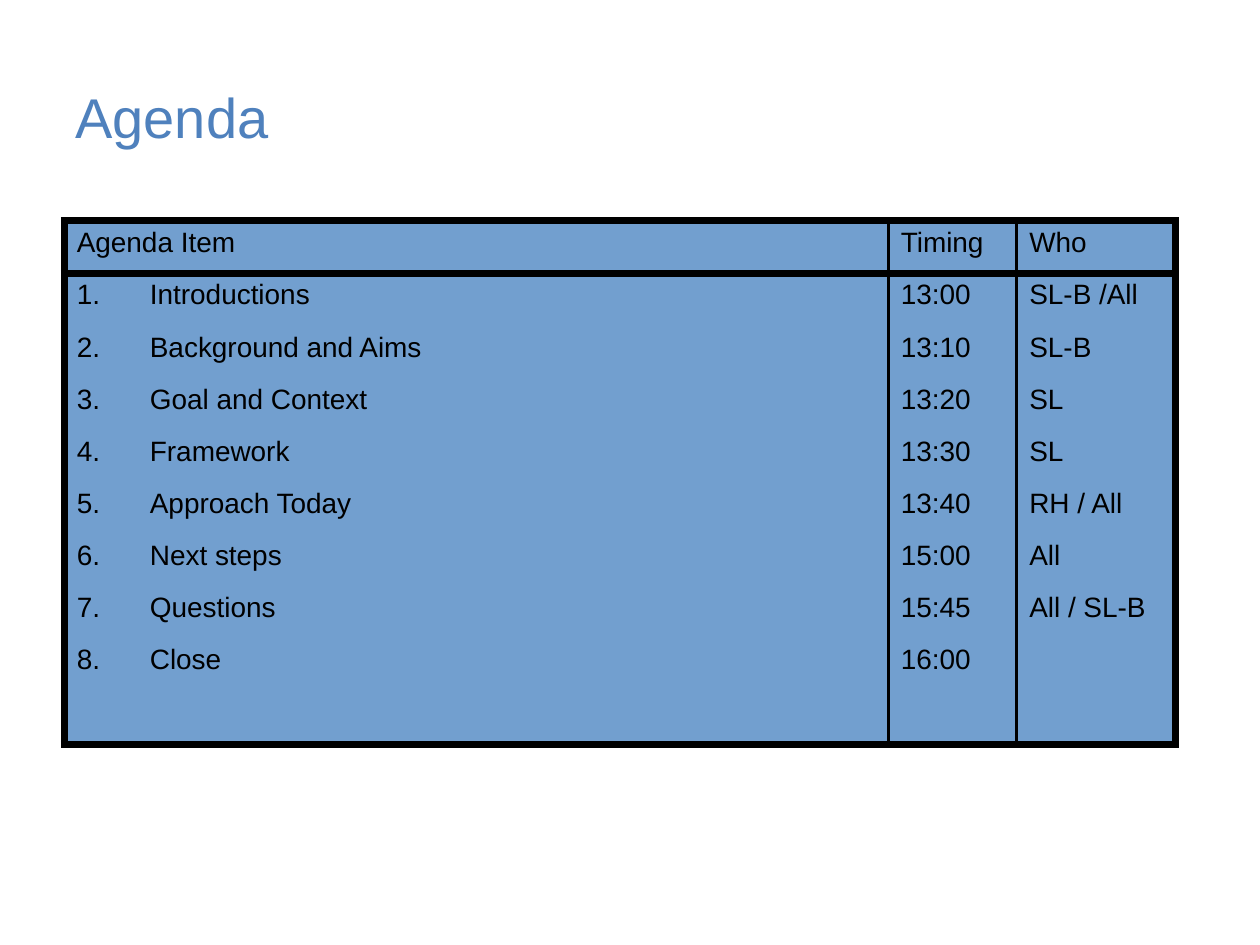
"""Build the agenda slide."""
from lxml.etree import SubElement
from pptx import Presentation
from pptx.dml.color import RGBColor
from pptx.enum.text import MSO_ANCHOR
from pptx.oxml.ns import qn
from pptx.util import Pt

HUES = {"title": "4F81BD", "text": "000000", "line": "000000", "cell": "729FCF"}
THICK, THIN = 4.48, 1.98
HANG = 41.76


def put(frame, text, size=16, hue="text", gap=0, hang=0, count=False):
    """Fill a frame with one paragraph for each line of text."""
    for at, line in enumerate(text.split("\n")):
        para = frame.add_paragraph() if at else frame.paragraphs[0]
        props = para._p.get_or_add_pPr()
        if hang:
            props.set("marL", str(Pt(hang)))
            props.set("indent", str(-Pt(hang)))
        if count:
            tint = SubElement(props, qn("a:buClr"))
            SubElement(tint, qn("a:srgbClr"), val=HUES[hue])
            SubElement(props, qn("a:buFont"), typeface="Arial")
            SubElement(props, qn("a:buAutoNum"), type="arabicPeriod")
        para.space_before = Pt(gap if at else 0)
        para.space_after = Pt(gap)
        run = para.add_run()
        run.text = line
        run.font.name = "Arial"
        run.font.size = Pt(size)
        run.font.color.rgb = RGBColor.from_string(HUES[hue])


class Page:
    """Hold the slide and draw its parts."""

    def __init__(self, deck):
        self.slide = deck.slides.add_slide(deck.slide_layouts[6])

    def title(self, text, box):
        """Add the heading."""
        frame = self.slide.shapes.add_textbox(*map(Pt, box)).text_frame
        frame.word_wrap = True
        frame.vertical_anchor = MSO_ANCHOR.MIDDLE
        put(frame, text, size=32, hue="title")

    def edge(self, cell, side, width):
        """Draw one border of a cell."""
        line = SubElement(cell._tc.get_or_add_tcPr(), qn("a:ln" + side), w=str(Pt(width)))
        fill = SubElement(line, qn("a:solidFill"))
        SubElement(fill, qn("a:srgbClr"), val=HUES["line"])

    def table(self, rows, left, top, wide, high):
        """Add the ruled table."""
        size = map(Pt, (left, top, sum(wide), sum(high)))
        grid = self.slide.shapes.add_table(len(high), len(wide), *size).table
        grid.first_row = grid.horz_banding = False
        for col, width in zip(grid.columns, wide):
            col.width = Pt(width)
        last = len(wide) - 1
        for y, (row, height) in enumerate(zip(rows, high)):
            grid.rows[y].height = Pt(height)
            for x, text in enumerate(row):
                cell = grid.cell(y, x)
                self.edge(cell, "L", THIN if x else THICK)
                self.edge(cell, "R", THICK if x == last else THIN)
                self.edge(cell, "T", THICK)
                self.edge(cell, "B", THICK)
                cell.fill.solid()
                cell.fill.fore_color.rgb = RGBColor.from_string(HUES["cell"])
                put(cell.text_frame, text, gap=6, hang=0 if x else HANG,
                    count=y > 0 and x == 0)


def main():
    """Make and save the deck."""
    deck = Presentation()
    deck.slide_width, deck.slide_height = Pt(720), Pt(540)
    page = Page(deck)
    page.title("Agenda", (36, 21.6, 648, 90))
    items = ("Introductions", "Background and Aims", "Goal and Context", "Framework",
             "Approach Today", "Next steps", "Questions", "Close")
    times = ("13:00", "13:10", "13:20", "13:30", "13:40", "15:00", "15:45", "16:00")
    who = ("SL-B /All", "SL-B", "SL", "SL", "RH / All", "All", "All / SL-B")
    rows = (("Agenda Item", "Timing", "Who"), ["\n".join(col) for col in (items, times, who)])
    page.table(rows, 36.72, 126, (470.88, 73.44, 90.72), (30.24, 269.28))
    deck.save("out.pptx")


if __name__ == "__main__":
    main()
